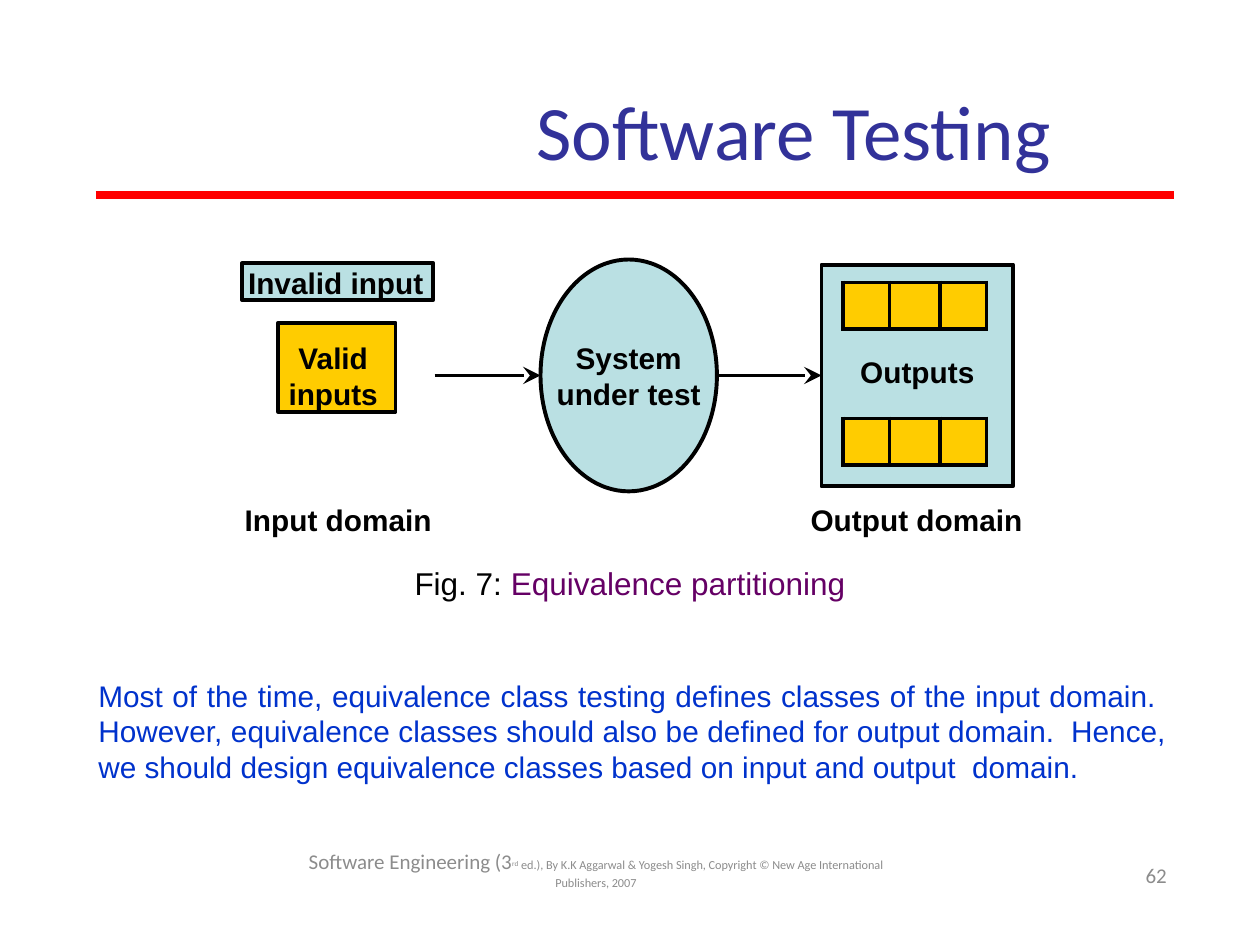
from dataclasses import dataclass

from lxml import etree
from pptx import Presentation
from pptx import util as u
from pptx.dml.color import RGBColor
from pptx.enum import shapes, text
from pptx.oxml import ns

BLACK, PALE, GOLD, GREY = "000000", "BAE0E3", "FFCC00", "8C8C8C"
LABEL_SIZE, LINE_PITCH = 17, 20.4
MIDDLE, TOP = text.MSO_ANCHOR.MIDDLE, text.MSO_ANCHOR.TOP
CENTER, RIGHT = text.PP_ALIGN.CENTER, text.PP_ALIGN.RIGHT


@dataclass
class Node:
    words: str
    kind: shapes.MSO_SHAPE
    left: float
    top: float
    width: float
    height: float
    fill: str
    anchor: text.MSO_ANCHOR = MIDDLE
    margins: tuple = (0, 0, 0, 0)


@dataclass
class Label:
    words: str
    left: float
    top: float
    width: float
    height: float


NODES = [
    Node("System\vunder test", shapes.MSO_SHAPE.OVAL, 4.29, 2.06, 1.4, 1.84, PALE),
    Node("Outputs", shapes.MSO_SHAPE.RECTANGLE, 6.52, 2.1, 1.52, 1.76, PALE,
         margins=(0, 0, 0, 0.06)),
    Node("Valid\vinputs", shapes.MSO_SHAPE.RECTANGLE, 2.21, 2.56, 0.93, 0.71, GOLD,
         TOP, (0, 0.14, 0.06, 0)),
    Node("Invalid input", shapes.MSO_SHAPE.RECTANGLE, 1.92, 2.09, 1.52, 0.29, PALE,
         margins=(0, 0.01, 0.03, 0)),
]
DOMAINS = [
    Label("Input domain", 1.92, 3.98, 1.53, 0.29),
    Label("Output domain", 6.41, 3.98, 1.73, 0.29),
]
CLASS_ROW_TOPS = (2.24, 3.32)
CLASS_WIDTHS = (0.37, 0.4, 0.37)


def rgb(color: str) -> RGBColor:
    return RGBColor.from_string(color)


def box(*lengths: float) -> list:
    return [u.Inches(length) for length in lengths]


def set_font(font, size: float, color: str, name: str = "Arial", bold: bool = False) -> None:
    font.size, font.name, font.bold = u.Pt(size), name, bold
    font.color.rgb = rgb(color)


def set_frame(frame, margins=(0, 0, 0, 0), anchor=TOP, wrap: bool = True) -> None:
    """Margins run left, top, right, bottom."""
    (frame.margin_left, frame.margin_top,
     frame.margin_right, frame.margin_bottom) = box(*margins)
    frame.vertical_anchor, frame.word_wrap = anchor, wrap
    frame.auto_size = text.MSO_AUTO_SIZE.NONE


def write_label(frame, words: str) -> None:
    frame.text = words
    paragraph = frame.paragraphs[0]
    paragraph.alignment = CENTER
    paragraph.line_spacing = u.Pt(LINE_PITCH)
    set_font(paragraph.font, LABEL_SIZE, BLACK, bold=True)


def add_node(slide, node: Node):
    shape = slide.shapes.add_shape(
        node.kind, *box(node.left, node.top, node.width, node.height))
    shape.shadow.inherit = False
    shape.fill.solid()
    shape.fill.fore_color.rgb = rgb(node.fill)
    shape.line.color.rgb = rgb(BLACK)
    shape.line.width = u.Pt(2.25)
    set_frame(shape.text_frame, node.margins, node.anchor, wrap=False)
    write_label(shape.text_frame, node.words)
    return shape


def add_line(slide, start: tuple, end: tuple, color: str, width: float,
             arrow: bool = False):
    line = slide.shapes.add_connector(
        shapes.MSO_CONNECTOR.STRAIGHT, *box(*start, *end))
    line.line.color.rgb = rgb(color)
    line.line.width = u.Pt(width)
    if arrow:
        etree.SubElement(line.line._get_or_add_ln(), ns.qn("a:tailEnd"),
                         type="stealth", w="lg", len="lg")
    etree.SubElement(line._element.spPr, ns.qn("a:effectLst"))
    return line


def border_cell(cell) -> None:
    properties = cell._tc.get_or_add_tcPr()
    for side in ("lnL", "lnR", "lnT", "lnB"):
        edge = etree.SubElement(properties, ns.qn(f"a:{side}"), w=str(u.Pt(2.25)))
        fill = etree.SubElement(edge, ns.qn("a:solidFill"))
        etree.SubElement(fill, ns.qn("a:srgbClr"), val=BLACK)


def add_class_row(slide, top: float) -> None:
    """One row of output classes."""
    table = slide.shapes.add_table(
        1, len(CLASS_WIDTHS), *box(6.69, top, sum(CLASS_WIDTHS), 0.37)).table
    table.first_row = table.horz_banding = False
    for column, width in enumerate(CLASS_WIDTHS):
        table.columns[column].width = u.Inches(width)
        cell = table.cell(0, column)
        cell.margin_left = cell.margin_right = cell.margin_top = cell.margin_bottom = 0
        border_cell(cell)
        cell.fill.solid()
        cell.fill.fore_color.rgb = rgb(GOLD)


def place(shape, *lengths: float) -> None:
    shape.left, shape.top, shape.width, shape.height = box(*lengths)


def write_title(title) -> None:
    place(title, 0.5, 0.45, 9, 0.95)
    set_frame(title.text_frame, (2.6, 0.21, 0, 0), MIDDLE)
    title.text_frame.text = "Software Testing"
    heading = title.text_frame.paragraphs[0]
    heading.alignment = CENTER
    set_font(heading.font, 44, "323299", "Calibri")


def write_body(body) -> None:
    place(body, 0.77, 4.48, 8.49, 1.77)
    frame = body.text_frame
    set_frame(frame)
    caption, remark = frame.paragraphs[0], frame.add_paragraph()
    for paragraph, indent in ((caption, 2.52), (remark, 0.01)):
        properties = paragraph._p.get_or_add_pPr()
        properties.set("marL", str(u.Inches(indent)))
        properties.set("indent", "0")
        etree.SubElement(properties, ns.qn("a:buNone"))
        paragraph.space_before = u.Pt(0)
    for words, color in (("Fig. 7: ", BLACK), ("Equivalence partitioning", "650065")):
        run = caption.add_run()
        run.text = words
        set_font(run.font, 18, color)
    remark.add_run().text = (
        "Most of the time, equivalence class testing defines classes of the input "
        "domain.  However, equivalence classes should also be defined for output "
        "domain.  Hence, we should design equivalence classes based on input and "
        "output  domain.")
    remark.alignment = text.PP_ALIGN.JUSTIFY
    remark.space_before = u.Pt(43)
    remark.line_spacing = u.Pt(LINE_PITCH)
    set_font(remark.font, 17, "0032CC")


def add_footer(slide) -> None:
    credit = slide.shapes.add_textbox(*box(2.26, 6.82, 4.94, 0.22)).text_frame
    set_frame(credit, anchor=MIDDLE)
    line = credit.paragraphs[0]
    line.alignment = CENTER
    line.line_spacing = u.Pt(9.5)
    for words, size, raised in (
            ("Software Engineering (3", 12, False), ("rd", 7, True),
            (" ed.), By K.K Aggarwal & Yogesh Singh, Copyright © New Age "
             "International Publishers, 2007", 7, False)):
        run = line.add_run()
        run.text = words
        set_font(run.font, size, GREY, "Calibri")
        if raised:
            run.font._element.set("baseline", "22000")

    number = slide.shapes.add_textbox(*box(8.34, 6.47, 0.92, 0.66)).text_frame
    set_frame(number, (0, 0.29, 0, 0), MIDDLE)
    number.text = "62"
    number.paragraphs[0].alignment = RIGHT
    set_font(number.paragraphs[0].font, 12, GREY, "Calibri")


def main() -> None:
    deck = Presentation()
    deck.slide_width, deck.slide_height = box(10, 7.5)
    slide = deck.slides.add_slide(deck.slide_layouts[1])
    write_title(slide.shapes.title)
    write_body(slide.placeholders[1])
    add_line(slide, (0.76, 1.55), (9.32, 1.55), "FF0000", 4.5)

    system, outputs, *_ = [add_node(slide, node) for node in NODES]
    to_system = add_line(slide, (3.45, 2.98), (4.29, 2.98), BLACK, 2, arrow=True)
    to_system.end_x, to_system.end_y = system.left, system.top + system.height // 2
    to_outputs = add_line(slide, (5.69, 2.98), (6.52, 2.98), BLACK, 2, arrow=True)
    to_outputs.end_connect(outputs, 1)

    for top in CLASS_ROW_TOPS:
        add_class_row(slide, top)
    for domain in DOMAINS:
        frame = slide.shapes.add_textbox(
            *box(domain.left, domain.top, domain.width, domain.height)).text_frame
        set_frame(frame, wrap=False)
        write_label(frame, domain.words)
    add_footer(slide)
    deck.save("out.pptx")


if __name__ == "__main__":
    main()
